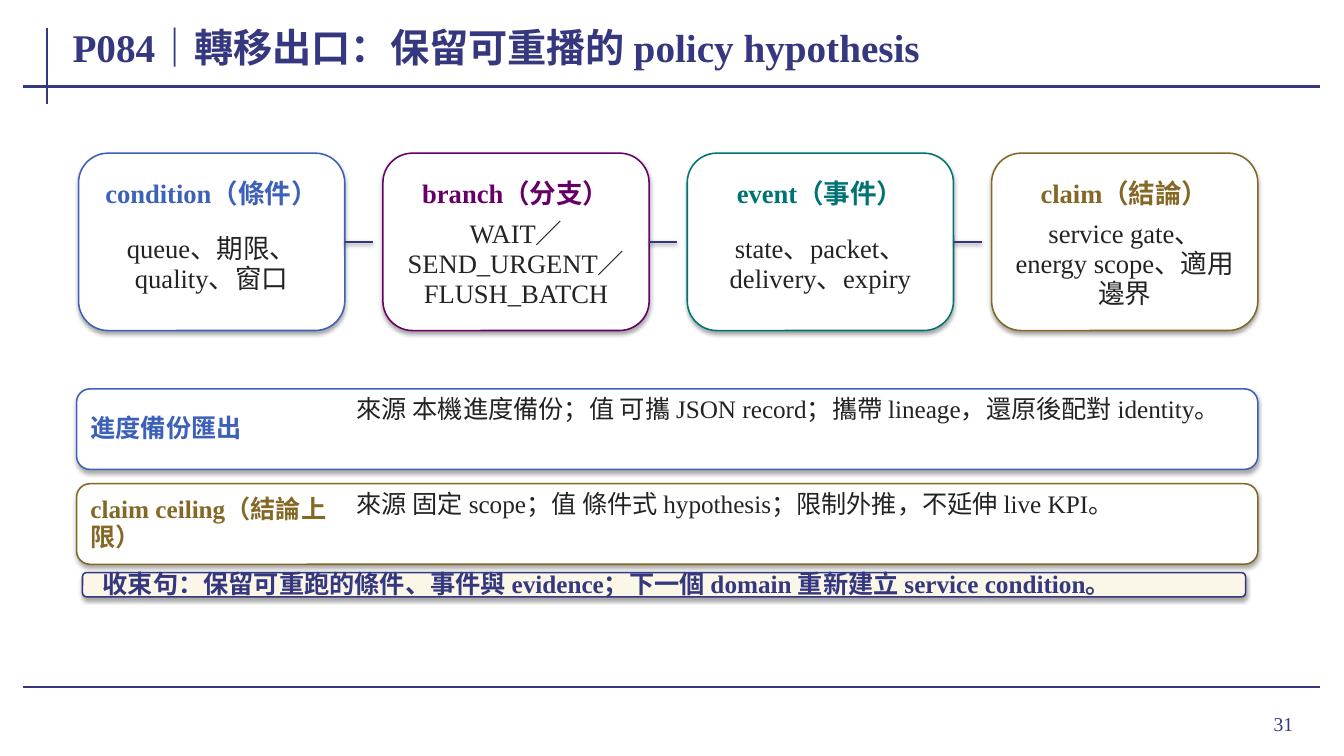
"""Build the slide on the transfer exit of a replayable policy hypothesis."""
from dataclasses import dataclass

import lxml.etree
import pptx
import pptx.dml.color
import pptx.enum.shapes
import pptx.enum.text
import pptx.oxml.ns
import pptx.slide
import pptx.util

Cm = pptx.util.Cm
Pt = pptx.util.Pt
ALIGN = pptx.enum.text.PP_ALIGN
ANCHOR = pptx.enum.text.MSO_ANCHOR
FIT = pptx.enum.text.MSO_AUTO_SIZE
NAVY, INK, WHITE, CREAM = "35377F", "232323", "FFFFFF", "FAF7E8"
BLUE, PLUM, TEAL, GOLD = "3D61B9", "660066", "007474", "846826"


@dataclass
class Box:
    left: float
    top: float
    width: float
    height: float


@dataclass
class Card:
    head: str
    body: str
    hue: str


CARDS = [
    Card("condition（條件）", "queue、期限、quality、窗口", BLUE),
    Card("branch（分支）", "WAIT／SEND_URGENT／FLUSH_BATCH", PLUM),
    Card("event（事件）", "state、packet、delivery、expiry", TEAL),
    Card("claim（結論）", "service gate、energy scope、適用邊界", GOLD),
]
ROWS = [
    Card("進度備份匯出",
         "來源 本機進度備份；值 可攜 JSON record；攜帶 lineage，還原後配對 identity。", BLUE),
    Card("claim ceiling（結論上限）",
         "來源 固定 scope；值 條件式 hypothesis；限制外推，不延伸 live KPI。", GOLD),
]


def color(code: str) -> pptx.dml.color.RGBColor:
    """Turn a hex string into a colour."""
    return pptx.dml.color.RGBColor.from_string(code)


def shade(effects, alpha: int, reach: float) -> None:
    """Put a soft downward shadow in an effect list."""
    qn = pptx.oxml.ns.qn
    outer = lxml.etree.SubElement(
        effects, qn("a:outerShdw"), blurRad=str(Pt(3.1)), dist=str(Pt(reach)),
        dir="5400000", algn="ctr", rotWithShape="0")
    black = lxml.etree.SubElement(outer, qn("a:srgbClr"), val="000000")
    lxml.etree.SubElement(black, qn("a:alpha"), val=str(alpha * 1000))


def rule(slide: pptx.slide.Slide, x1: float, y1: float, x2: float, y2: float,
         weight: float = 1.5, soft: bool = False) -> None:
    """Draw a navy line."""
    line = slide.shapes.add_connector(
        pptx.enum.shapes.MSO_CONNECTOR.STRAIGHT, Cm(x1), Cm(y1), Cm(x2), Cm(y2))
    line.line.color.rgb = color(NAVY)
    line.line.width = Pt(weight)
    effects = lxml.etree.SubElement(
        line.element.spPr, pptx.oxml.ns.qn("a:effectLst"))
    if soft:
        shade(effects, 38, 1.6)


def panel(slide: pptx.slide.Slide, box: Box, hue: str, fill: str = WHITE) -> None:
    """Draw a rounded panel with a shadow."""
    shape = slide.shapes.add_shape(
        pptx.enum.shapes.MSO_SHAPE.ROUNDED_RECTANGLE,
        Cm(box.left), Cm(box.top), Cm(box.width), Cm(box.height))
    shape.fill.solid()
    shape.fill.fore_color.rgb = color(fill)
    shape.line.color.rgb = color(hue)
    shape.line.width = Pt(1.1)
    shape.shadow.inherit = False
    shade(shape.element.spPr.find(pptx.oxml.ns.qn("a:effectLst")), 35, 1.8)


def write(slide: pptx.slide.Slide, box: Box, text: str, size: float, hue: str,
          bold: bool = False, align: ALIGN = ALIGN.LEFT,
          anchor: ANCHOR = ANCHOR.MIDDLE, pad: float = 0.1,
          grow: bool = True) -> None:
    """Write one paragraph in a text box."""
    shape = slide.shapes.add_textbox(
        Cm(box.left), Cm(box.top), Cm(box.width), Cm(box.height))
    frame = shape.text_frame
    frame.word_wrap = True
    frame.auto_size = FIT.SHAPE_TO_FIT_TEXT if grow else FIT.NONE
    frame.vertical_anchor = anchor
    frame.margin_left = frame.margin_right = Cm(pad)
    frame.margin_top = frame.margin_bottom = 0
    para = frame.paragraphs[0]
    para.text = text
    para.alignment = align
    para.line_spacing = 0.94
    para.font.name = "Times New Roman"
    para.font.size = Pt(size)
    para.font.bold = bold
    para.font.color.rgb = color(hue)


def main() -> None:
    """Draw the slide and save it."""
    deck = pptx.Presentation()
    deck.slide_width, deck.slide_height = Cm(33.87), Cm(19.05)
    slide = deck.slides.add_slide(deck.slide_layouts[6])

    rule(slide, 1.19, 0.71, 1.19, 2.62)
    for y in (2.18, 17.32):
        rule(slide, 0.58, y, 33.27, y)
    write(slide, Box(30.38, 17.6, 2.46, 1.32), "31", 14, NAVY,
          align=ALIGN.RIGHT, pad=0.25, grow=False)
    write(slide, Box(1.73, 0.46, 30.35, 1.57),
          "P084｜轉移出口：保留可重播的 policy hypothesis", 28, NAVY,
          bold=True, grow=False)

    for i, card in enumerate(CARDS):
        left = 1.98 + 7.67 * i
        panel(slide, Box(left, 3.86, 6.71, 4.47), card.hue)
        write(slide, Box(left + 0.3, 4.47, 6.1, 0.86), card.head, 19, card.hue,
              bold=True, align=ALIGN.CENTER)
        write(slide, Box(left + 0.46, 5.79, 5.79, 1.73), card.body, 19, INK,
              align=ALIGN.CENTER)
        if i < len(CARDS) - 1:
            rule(slide, left + 6.71, 6.1, left + 7.42, 6.1, 1.7, soft=True)

    for i, row in enumerate(ROWS):
        top = 9.8 + 2.39 * i
        panel(slide, Box(1.93, top, 29.77, 2.03), row.hue)
        write(slide, Box(2.18, top + 0.15, 6.5, 1.73), row.head, 18, row.hue,
              bold=True)
        write(slide, Box(8.89, top + 0.18, 22.5, 1.68), row.body, 18, INK,
              anchor=ANCHOR.TOP)

    panel(slide, Box(2.08, 14.43, 29.31, 0.61), NAVY, CREAM)
    write(slide, Box(2.49, 14.58, 28.5, 0.3),
          "收束句：保留可重跑的條件、事件與 evidence；下一個 domain 重新建立 service condition。",
          18, NAVY, bold=True)
    deck.save("out.pptx")


if __name__ == "__main__":
    main()
